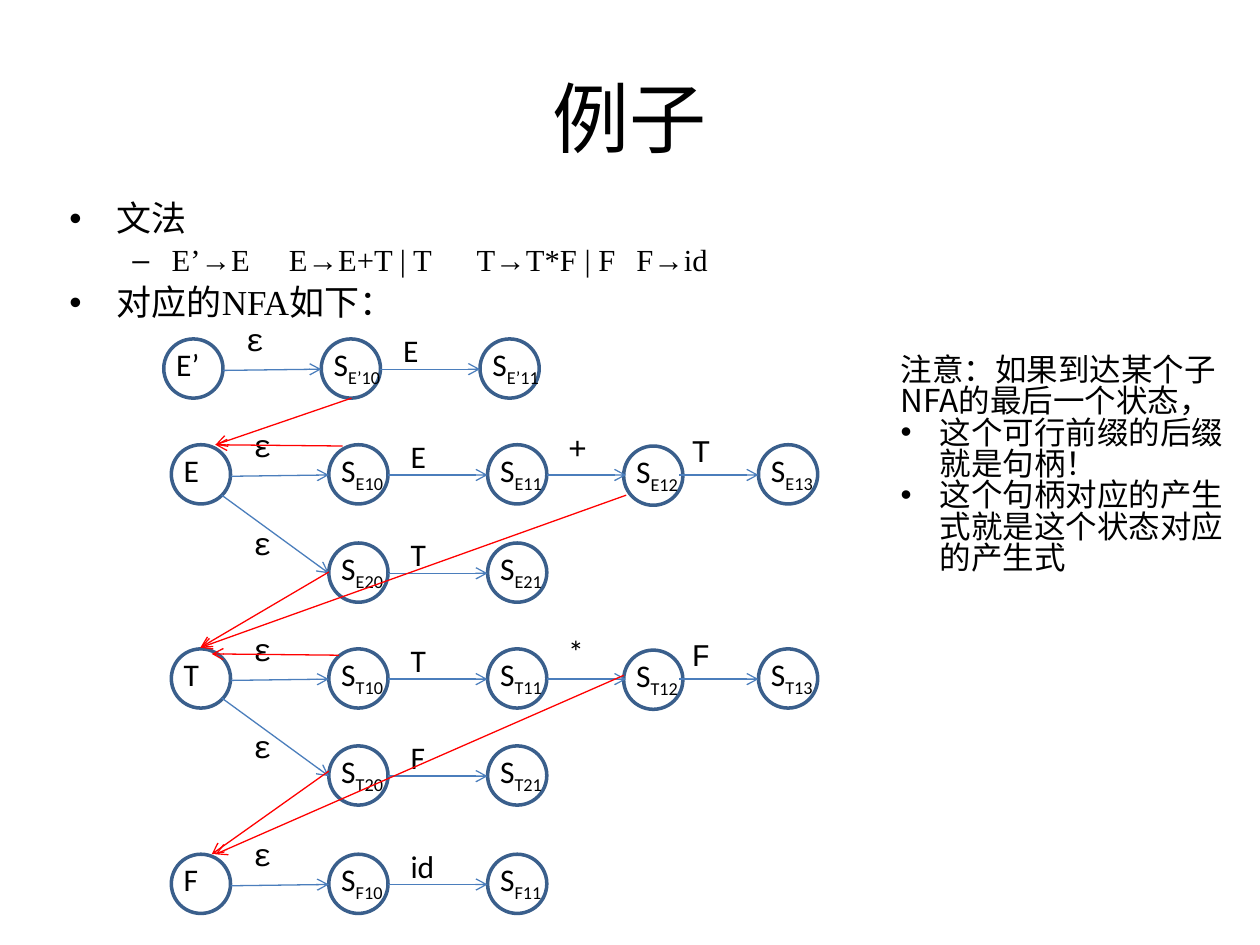
import pptx
import pptx.util
import pptx.dml.color
import pptx.enum.shapes
import pptx.enum.text
import pptx.oxml.ns
import lxml.etree

RGB = pptx.dml.color.RGBColor
BLACK = RGB(0x00, 0x00, 0x00)
NAVY = RGB(0x3A, 0x5F, 0x8C)
BLUE = RGB(0x4B, 0x7E, 0xBC)
RED = RGB(0xFF, 0x00, 0x00)

SANS = "Calibri"
MONO = "Courier New"
SERIF = "Times New Roman"
HAN = "Noto Sans CJK SC"
HEAD = "Noto Sans CJK JP"

COLS = [1.36, 2.61, 3.87, 4.95, 6.02]
SIZE = 0.47
MID = 0.24

ROWS = [
    (2.69, -0.06, "E’", "E’", ["10", "11"], ["E"]),
    (3.53, 0, "E", "E", ["10", "11", "12", "13"], ["E", "+", "T"]),
    (4.31, 0, "", "E", ["20", "21"], ["T"]),
    (5.15, 0, "T", "T", ["10", "11", "12", "13"], ["T", "*", "F"]),
    (5.92, 0, "", "T", ["20", "21"], ["F"]),
    (6.78, 0, "F", "F", ["10", "11"], ["id"]),
]

TAGS = [(3.16, -0.11), (4.41, -0.18), (5.39, -0.16)]
HOPS = [(3.08, 3.87), (4.34, 4.97), (5.39, 6.02)]

JUMPS = [
    (2.79, 3.16, 1.71, 3.53),
    (4.97, 3.93, 1.59, 5.14),
    (2.72, 3.54, 1.71, 3.53),
    (2.61, 4.54, 1.59, 5.14),
    (2.69, 5.20, 1.68, 5.19),
    (4.95, 5.36, 1.71, 6.78),
    (2.61, 6.12, 1.68, 6.78),
]


def add_tag(node, name, **attrs):
    return lxml.etree.SubElement(node, pptx.oxml.ns.qn(name), **attrs)


class Deck:
    def __init__(self, wide=10, high=7.5):
        self.prs = pptx.Presentation()
        self.prs.slide_width = pptx.util.Inches(wide)
        self.prs.slide_height = pptx.util.Inches(high)
        self.unit = self.prs.slide_width / wide
        self.slide = self.prs.slides.add_slide(self.prs.slide_layouts[1])
        self.shapes = self.slide.shapes

    def grid(self, *cells):
        return [round(cell * self.unit) for cell in cells]

    def style(self, para, size, font, east=HAN):
        for run in para.runs:
            run.font.size = pptx.util.Pt(size)
            run.font.name = font
            run.font.color.rgb = BLACK
            add_tag(run.font._element, "a:ea", typeface=east)

    def place(self, shape, *box):
        shape.left, shape.top, shape.width, shape.height = self.grid(*box)

    def title(self, text, *box):
        shape = self.shapes.title
        self.place(shape, *box)
        shape.text_frame.text = text
        self.style(shape.text_frame.paragraphs[0], 44, HEAD, HEAD)

    def body(self, items, *box):
        shape = self.slide.placeholders[1]
        self.place(shape, *box)
        frame = shape.text_frame
        frame.text = "\n".join(text for text, level in items)
        frame.auto_size = pptx.enum.text.MSO_AUTO_SIZE.NONE
        for para, (text, level) in zip(frame.paragraphs, items):
            para.level = level
            para.line_spacing = 0.9
            self.style(para, 17.5 if level else 20, SERIF)

    def label(self, text, *box, font=SANS, sub=""):
        frame = self.shapes.add_textbox(*self.grid(*box)).text_frame
        frame.text = text
        frame.word_wrap = True
        frame.auto_size = pptx.enum.text.MSO_AUTO_SIZE.SHAPE_TO_FIT_TEXT
        if sub:
            run = frame.paragraphs[0].add_run()
            run.text = sub
            run.font._element.set("baseline", "-25000")
        for para in frame.paragraphs:
            self.style(para, 18, font)
        return frame

    def note(self, lines, *box):
        frame = self.label("\n".join(lines), *box, font=HAN)
        for para in frame.paragraphs:
            para.line_spacing = 0.83
        for para in frame.paragraphs[1:]:
            props = para._p.get_or_add_pPr()
            step = self.grid(0.31)[0]
            props.set("marL", str(step))
            props.set("indent", str(-step))
            add_tag(props, "a:buFont", typeface="Arial")
            add_tag(props, "a:buChar", char="•")

    def state(self, left, top, text, sub="", wide=0.71):
        kind = pptx.enum.shapes.MSO_SHAPE.OVAL
        ring = self.shapes.add_shape(kind, *self.grid(left, top, SIZE, SIZE))
        ring.shadow.inherit = False
        ring.fill.background()
        ring.line.color.rgb = NAVY
        ring.line.width = pptx.util.Pt(2)
        self.label(text, left, top, wide, 0.4, sub=sub)

    def arrow(self, *ends, color=BLUE):
        kind = pptx.enum.shapes.MSO_CONNECTOR.STRAIGHT
        line = self.shapes.add_connector(kind, *self.grid(*ends))
        line.line.color.rgb = color
        line.line.width = pptx.util.Pt(0.75)
        add_tag(line.line._get_or_add_ln(), "a:tailEnd", type="arrow")
        add_tag(line._element.spPr, "a:effectLst")

    def chain(self, top, shift, start, name, nums, marks):
        for i, num in enumerate(nums, 1):
            drop = 0.01 if i == 3 else 0
            wide = 0.87 if i > 2 else 0.71
            self.state(COLS[i] + shift, top + drop, "S", name + num, wide)
        if start:
            self.state(COLS[0] + shift, top, start)
            self.arrow(1.83 + shift, top + MID + 0.01, COLS[1] + shift, top + MID)
        else:
            self.arrow(1.76, top - 0.38, COLS[1], top + MID)
        self.label("ε", 1.91 + shift, top - 0.2, 0.81, 0.4, font=MONO)
        for i, (mark, (left, rise), (tail, tip)) in enumerate(zip(marks, TAGS, HOPS)):
            self.arrow(tail + shift, top + MID, tip + shift, top + MID)
            font = MONO if i and mark != "*" else SANS
            self.label(mark, left + shift, top + rise, 0.81, 0.4, font=font)


def main():
    deck = Deck()
    deck.title("例子", 0.5, 0.3, 9, 1.25)
    deck.body([
        ("文法", 0),
        ("E’→E\t    E→E+T | T      T→T*F | F\tF→id", 1),
        ("对应的NFA如下：", 0),
    ], 0.45, 1.55, 9, 1.02)
    for row in ROWS:
        deck.chain(*row)
    for jump in JUMPS:
        deck.arrow(*jump, color=RED)
    deck.note([
        "注意：如果到达某个子NFA的最后一个状态，",
        "这个可行前缀的后缀就是句柄！",
        "这个句柄对应的产生式就是这个状态对应的产生式",
    ], 7.05, 2.78, 2.76, 2.22)
    deck.prs.save("out.pptx")


if __name__ == "__main__":
    main()
